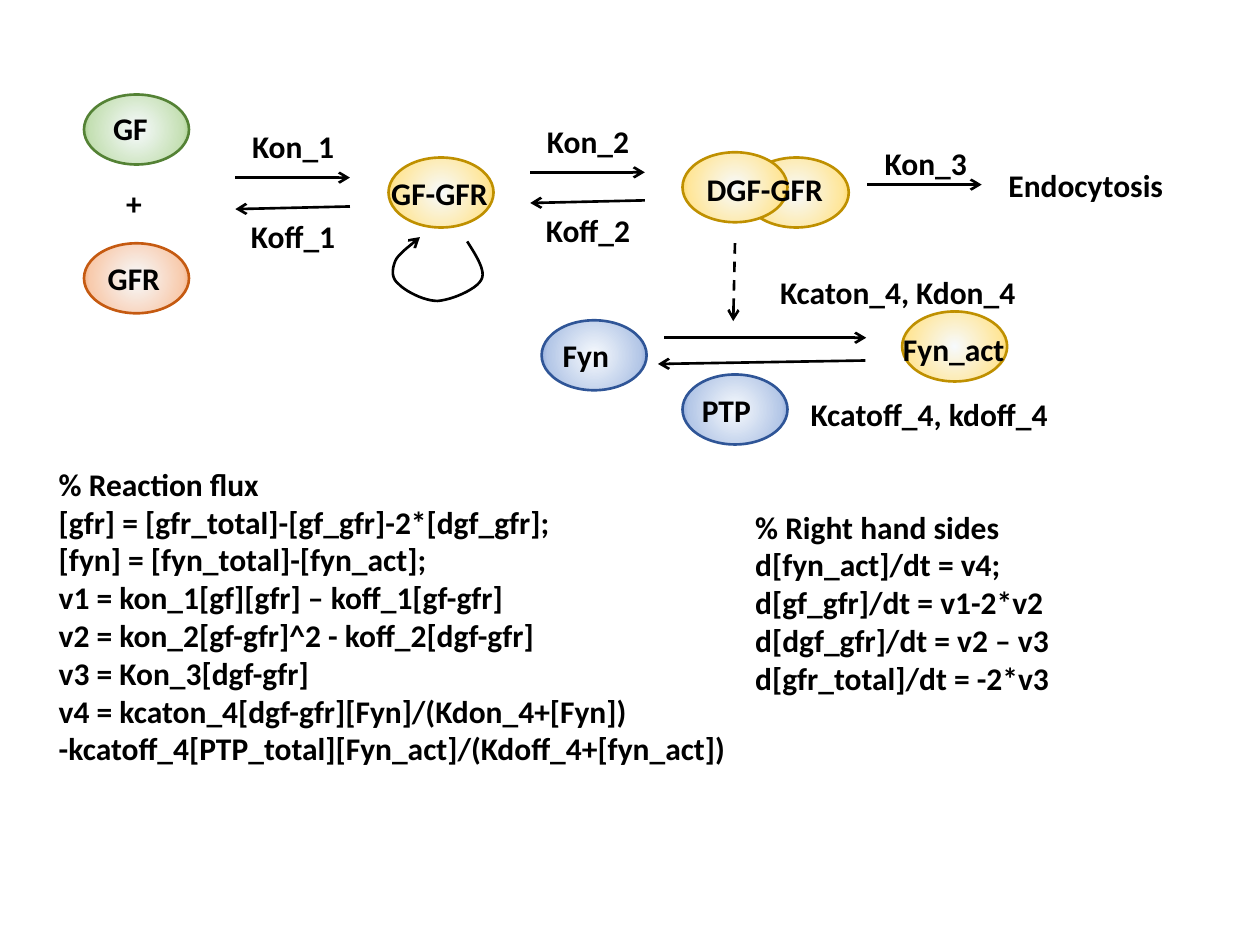
"""Build a slide of growth factor receptor kinetics with its rate equations."""
from lxml import etree
from pptx import Presentation
from pptx.dml.color import RGBColor
from pptx.enum.dml import MSO_LINE
from pptx.enum.shapes import MSO_CONNECTOR, MSO_SHAPE
from pptx.enum.text import MSO_AUTO_SIZE, PP_ALIGN
from pptx.oxml import parse_xml
from pptx.oxml.ns import nsdecls, qn
from pptx.util import Pt

OVAL = MSO_SHAPE.OVAL
STRAIGHT = MSO_CONNECTOR.STRAIGHT
DASH = MSO_LINE.DASH
FIT = MSO_AUTO_SIZE.SHAPE_TO_FIT_TEXT
LEFT, CENTER = PP_ALIGN.LEFT, PP_ALIGN.CENTER

COLORS = {"ink": "000000", "core": "F7FAFD"}
SPECIES = {
    "gold": {"light": "FFE699", "mid": "FFD966", "dark": "BF9000", "line": "BF9000"},
    "green": {"light": "C5E0B4", "mid": "A9D18E", "dark": "558336", "line": "548235"},
    "orange": {"light": "F8CBAD", "mid": "F4B183", "dark": "C55A11", "line": "C55A11"},
    "blue": {"light": "B4C7E7", "mid": "8FAADC", "dark": "2F5597", "line": "2F5597"},
}
FONT = {"name": "Calibri", "size": Pt(18), "bold": True}
LINE_WIDTH = Pt(1.5)
OVAL_SIZE = (60, 40)
LABEL_HEIGHT = 29

OVALS = [
    (425, 90, "gold"), (48, 54, "green"), (48, 139, "orange"), (222, 90, "gold"),
    (390, 87, "gold"), (309.5, 183, "blue"), (515.5, 178, "gold"), (390, 214, "blue"),
]
LABELS = [
    ("GF", 57.5, 59, 40, LEFT),
    ("GFR", 54.5, 144.5, 47, LEFT),
    ("+", 65, 101.5, 40, LEFT),
    ("GF-GFR", 216.5, 96, 72, LEFT),
    ("Kon_1", 134.5, 69, 66, CENTER),
    ("Koff_1", 134.5, 120.5, 66, CENTER),
    ("DGF-GFR", 389.5, 93.5, 95, CENTER),
    ("Kon_2", 303, 66, 66, CENTER),
    ("Koff_2", 303, 117, 66, CENTER),
    ("Kon_3", 482, 78.5, 94, CENTER),
    ("Endocytosis", 561, 91.5, 119, CENTER),
    ("Fyn", 314.5, 188.5, 47, LEFT),
    ("Kcaton_4, Kdon_4", 425, 152.5, 176, CENTER),
    ("Kcatoff_4, kdoff_4", 444, 222, 174, CENTER),
    ("Fyn_act", 502.5, 185, 85, CENTER),
    ("PTP", 394, 220, 47, LEFT),
]
ARROWS = [
    (134.5, 101.5, 200, 101.5), (200, 118, 134.5, 119.5),
    (303, 98.5, 368.5, 98.5), (368.5, 114.5, 303, 116),
    (495.5, 105.5, 561, 105.5),
    (379.5, 193, 495, 193), (494.5, 206, 376, 208),
]
LOOP_START = (267, 138)
LOOP_CURVES = [
    ((272, 146), (278, 155), (275, 160)),
    ((272, 165.5), (258, 171.5), (250, 172)),
    ((242, 172), (231, 166), (227.5, 162)),
    ((223, 158.5), (224.5, 152.5), (226, 149)),
    ((227.5, 145), (238, 137.5), (238, 137.5)),
]
LOOP_END = (240, 135.5)
FLUXES = [
    "% Reaction flux",
    "[gfr] = [gfr_total]-[gf_gfr]-2*[dgf_gfr];",
    "[fyn] = [fyn_total]-[fyn_act];",
    "v1 = kon_1[gf][gfr] – koff_1[gf-gfr]",
    "v2 = kon_2[gf-gfr]^2 - koff_2[dgf-gfr]",
    "v3 = Kon_3[dgf-gfr]",
    "v4 = kcaton_4[dgf-gfr][Fyn]/(Kdon_4+[Fyn]) "
    "-kcatoff_4[PTP_total][Fyn_act]/(Kdoff_4+[fyn_act])",
]
RIGHT_SIDES = [
    "% Right hand sides",
    "d[fyn_act]/dt = v4;",
    "d[gf_gfr]/dt = v1-2*v2",
    "d[dgf_gfr]/dt = v2 – v3",
    "d[gfr_total]/dt = -2*v3",
]


def set_line(sp, color):
    """Give a shape or connector its outline."""
    sp.line.color.rgb = RGBColor.from_string(color)
    sp.line.width = LINE_WIDTH


def add_head(sp):
    """Put an open arrowhead at the end of a line."""
    etree.SubElement(sp.line._get_or_add_ln(), qn("a:tailEnd"), type="arrow")


def add_oval(shapes, x, y, kind):
    """Add a molecule with a radial gradient."""
    tones = SPECIES[kind]
    sp = shapes.add_shape(OVAL, Pt(x), Pt(y), *map(Pt, OVAL_SIZE))
    sp.shadow.inherit = False
    stops = [(0, COLORS["core"]), (74, tones["light"]), (86, tones["mid"]), (100, tones["dark"])]
    gs = "".join(
        f'<a:gs pos="{pos * 1000}"><a:srgbClr val="{color}"/></a:gs>' for pos, color in stops
    )
    grad = parse_xml(
        f'<a:gradFill {nsdecls("a")} rotWithShape="1"><a:gsLst>{gs}</a:gsLst>'
        '<a:path path="circle"><a:fillToRect l="50000" t="50000" r="50000" b="50000"/>'
        "</a:path></a:gradFill>"
    )
    sp._element.spPr.find(qn("a:prstGeom")).addnext(grad)
    set_line(sp, tones["line"])


def add_text(shapes, lines, x, y, w, h, align=LEFT):
    """Add a text box with one paragraph per line."""
    tf = shapes.add_textbox(Pt(x), Pt(y), Pt(w), Pt(h)).text_frame
    tf.word_wrap = True
    tf.auto_size = FIT
    for i, line in enumerate(lines):
        p = tf.paragraphs[0] if i == 0 else tf.add_paragraph()
        p.alignment = align
        r = p.add_run()
        r.text = line
        for key, value in FONT.items():
            setattr(r.font, key, value)
        r.font.color.rgb = RGBColor.from_string(COLORS["ink"])


def add_arrow(shapes, x1, y1, x2, y2, dash=None):
    """Add a straight reaction arrow."""
    cxn = shapes.add_connector(STRAIGHT, Pt(x1), Pt(y1), Pt(x2), Pt(y2))
    set_line(cxn, COLORS["ink"])
    if dash:
        cxn.line.dash_style = dash
    add_head(cxn)
    etree.SubElement(cxn._element.spPr, qn("a:effectLst"))


def curve_points(start, curves, steps=12):
    """Sample a chain of cubic curves."""
    points = []
    for a, b, end in curves:
        for i in range(1, steps + 1):
            t = i / steps
            u = 1 - t
            points.append(tuple(
                u**3 * p0 + 3 * u * u * t * p1 + 3 * u * t * t * p2 + t**3 * p3
                for p0, p1, p2, p3 in zip(start, a, b, end)
            ))
        start = end
    return points


def add_loop(shapes):
    """Add the curved arrow for self-dimerisation."""
    points = curve_points(LOOP_START, LOOP_CURVES) + [LOOP_END]
    fb = shapes.build_freeform(*map(Pt, LOOP_START))
    fb.add_line_segments([(Pt(x), Pt(y)) for x, y in points], close=False)
    sp = fb.convert_to_shape()
    sp.shadow.inherit = False
    sp.fill.background()
    set_line(sp, COLORS["ink"])
    add_head(sp)


def main():
    """Build and save the slide."""
    prs = Presentation()
    prs.slide_width, prs.slide_height = Pt(720), Pt(540)
    s = prs.slides.add_slide(prs.slide_layouts[6])
    scheme = s.shapes.add_group_shape().shapes
    for oval in OVALS:
        add_oval(scheme, *oval)
    add_loop(scheme)
    for arrow in ARROWS:
        add_arrow(scheme, *arrow)
    add_arrow(scheme, 420, 139, 419, 183.5, DASH)
    for text, x, y, w, align in LABELS:
        add_text(scheme, [text], x, y, w, LABEL_HEIGHT, align)
    add_text(s.shapes, FLUXES, 26.5, 262, 415, 181.5)
    add_text(s.shapes, RIGHT_SIDES, 424.5, 286.5, 194, 116.5)
    prs.save("out.pptx")


if __name__ == "__main__":
    main()
